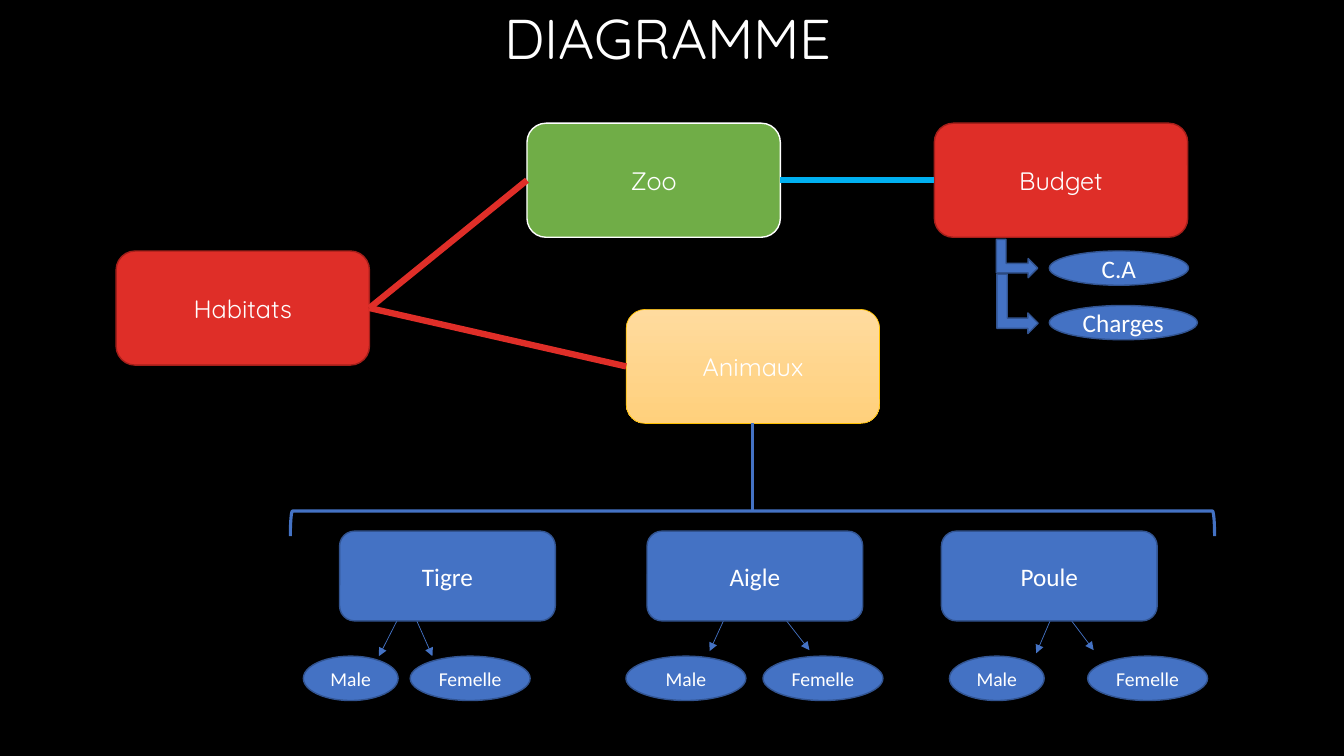
"""Build the zoo diagram slide."""
from typing import NamedTuple

from lxml import etree
from pptx import Presentation
from pptx.dml.color import RGBColor
from pptx.enum.shapes import MSO_CONNECTOR, MSO_SHAPE
from pptx.enum.text import MSO_ANCHOR, PP_ALIGN
from pptx.oxml.ns import qn
from pptx.util import Pt

ROUND = MSO_SHAPE.ROUNDED_RECTANGLE
OVAL = MSO_SHAPE.OVAL
BENT = MSO_SHAPE.BENT_UP_ARROW
BRACKET = MSO_SHAPE.RIGHT_BRACKET
STRAIGHT = MSO_CONNECTOR.STRAIGHT
MIDDLE = MSO_ANCHOR.MIDDLE
CENTER, RIGHT = PP_ALIGN.CENTER, PP_ALIGN.RIGHT
BOTTOM, LEFT, EAST = 2, 1, 3

BLUE, NAVY, WHITE = "4472C4", "325491", "FFFFFF"
RED, MAROON, CYAN = "DF2E28", "A41F1A", "00B0F0"
SERIF_FREE, ROUNDED = "Calibri", "Quicksand"


class Node(NamedTuple):
    """A filled shape with an optional label."""
    text: str
    x: float
    y: float
    w: float
    h: float
    kind: int = OVAL
    size: float = 18
    font: str = SERIF_FREE
    fill: str = BLUE
    line: str = NAVY
    weight: float = 1
    turn: float = 0


class Arrow(NamedTuple):
    """A thin arrow from one point to another."""
    x: float
    y: float
    to_x: float
    to_y: float


class Link(NamedTuple):
    """A thick line between the sides of two topics."""
    start: str
    side: int
    end: str
    to_side: int
    color: str


def topic(text: str, x: float, y: float, fill: str, line: str, weight: float = 1) -> Node:
    """Describe one of the large topic boxes."""
    return Node(text, x, y, 181, 81.5, ROUND, 18, ROUNDED, fill, line, weight)


def animal(text: str, x: float) -> Node:
    """Describe one of the animal boxes."""
    return Node(text, x, 379.4, 154.1, 64.1, ROUND)


def sex(text: str, x: float, w: float = 85.7) -> Node:
    """Describe one of the ovals in the bottom row."""
    return Node(text, x, 468.7, w, 31.7, size=14)


TOPICS = [
    topic("Zoo", 376.4, 88, "70AD47", WHITE),
    topic("Budget", 667.4, 88, RED, MAROON),
    topic("Habitats", 82.9, 179.3, RED, MAROON),
    topic("Animaux", 447.3, 221, "FFD590", "FFC000", 0.5),
]
NODES = [
    animal("Tigre", 242.6),
    animal("Aigle", 462.2),
    animal("Poule", 672.5),
    sex("Male", 216.7, 67.7),
    sex("Femelle", 293),
    sex("Male", 447.1),
    sex("Femelle", 545),
    sex("Male", 678.2, 67.7),
    sex("Femelle", 776.9),
    Node("C.A", 749.5, 179.3, 99.4, 24.5),
    Node("Charges", 749.5, 218.2, 105.8, 24.5),
    Node("", 712.8, 169.9, 27.4, 29.5, BENT, turn=90),
    Node("", 705.6, 202.3, 42.5, 29.5, BENT, turn=90),
    Node("", 528.5, 43.9, 18, 660.2, BRACKET, fill="", line=BLUE, weight=2.25, turn=270),
]
ARROWS = [
    Arrow(288.7, 433.4, 270.7, 468.7),
    Arrow(294.5, 436.3, 308.9, 468.7),
    Arrow(518.4, 439.9, 506.9, 465.1),
    Arrow(560.2, 441.4, 578.2, 464.4),
    Arrow(751, 441.4, 740.2, 466.6),
    Arrow(763.9, 441.4, 781.2, 464.4),
]
LINKS = [
    Link("Zoo", EAST, "Budget", LEFT, CYAN),
    Link("Habitats", EAST, "Zoo", LEFT, RED),
    Link("Habitats", EAST, "Animaux", LEFT, RED),
]


def paint(code: str) -> RGBColor:
    """Turn a hex string into a colour."""
    return RGBColor.from_string(code)


def write(shape, text: str, size: float, font: str, align: int) -> None:
    """Set the text of a shape and format its runs."""
    frame = shape.text_frame
    frame.text = text
    frame.word_wrap = True
    frame.vertical_anchor = MIDDLE
    part = frame.paragraphs[0]
    part.alignment = align
    for run in part.runs:
        run.font.size = Pt(size)
        run.font.name = font
        run.font.color.rgb = paint(WHITE)


def draw_node(slide, node: Node):
    """Draw a node and return its shape."""
    shape = slide.shapes.add_shape(node.kind, Pt(node.x), Pt(node.y), Pt(node.w), Pt(node.h))
    shape.shadow.inherit = False
    shape.rotation = node.turn
    if node.fill:
        shape.fill.solid()
        shape.fill.fore_color.rgb = paint(node.fill)
    else:
        shape.fill.background()
    shape.line.color.rgb = paint(node.line)
    shape.line.width = Pt(node.weight)
    if node.text:
        write(shape, node.text, node.size, node.font, CENTER)
    return shape


def draw_line(slide, path: Arrow, color: str, weight: float):
    """Draw a straight connector without shadow and return it."""
    ends = [Pt(value) for value in path]
    line = slide.shapes.add_connector(STRAIGHT, *ends)
    line.line.color.rgb = paint(color)
    line.line.width = Pt(weight)
    etree.SubElement(line._element.spPr, qn("a:effectLst"))
    return line


def draw_arrow(slide, arrow: Arrow) -> None:
    """Draw a thin arrow with a triangle at its end."""
    line = draw_line(slide, arrow, BLUE, 0.5)
    etree.SubElement(line.line._get_or_add_ln(), qn("a:tailEnd"), type="triangle")


def draw_link(slide, link: Link, boxes: dict) -> None:
    """Join two topics with a thick line."""
    line = draw_line(slide, Arrow(0, 0, 0, 0), link.color, 4.5)
    line.begin_connect(boxes[link.start], link.side)
    line.end_connect(boxes[link.end], link.to_side)


def shade(shape) -> None:
    """Give a shape the pale orange gradient."""
    shape.fill.gradient()
    shape.fill.gradient_angle = 270
    for stop, code in zip(shape.fill.gradient_stops, ("FFDB9E", "FFD07C")):
        stop.color.rgb = paint(code)


def main() -> None:
    """Draw the slide and save it."""
    deck = Presentation()
    deck.slide_width, deck.slide_height = Pt(960), Pt(540)
    slide = deck.slides.add_slide(deck.slide_layouts[6])
    slide.background.fill.solid()
    slide.background.fill.fore_color.rgb = paint("000000")

    title = slide.shapes.add_textbox(Pt(346.3), Pt(9.4), Pt(267.8), Pt(41))
    write(title, "DIAGRAMME", 40, ROUNDED, RIGHT)
    title.text_frame.margin_right = Pt(20)
    title.text_frame.paragraphs[0].line_spacing = 0.9

    for arrow in ARROWS:
        draw_arrow(slide, arrow)
    boxes = {node.text: draw_node(slide, node) for node in TOPICS}
    shade(boxes["Animaux"])
    for link in LINKS:
        draw_link(slide, link, boxes)
    stem = draw_line(slide, Arrow(537.8, 302.5, 537.8, 364.3), BLUE, 2.25)
    stem.begin_connect(boxes["Animaux"], BOTTOM)
    for node in NODES:
        draw_node(slide, node)
    deck.save("out.pptx")


if __name__ == "__main__":
    main()
